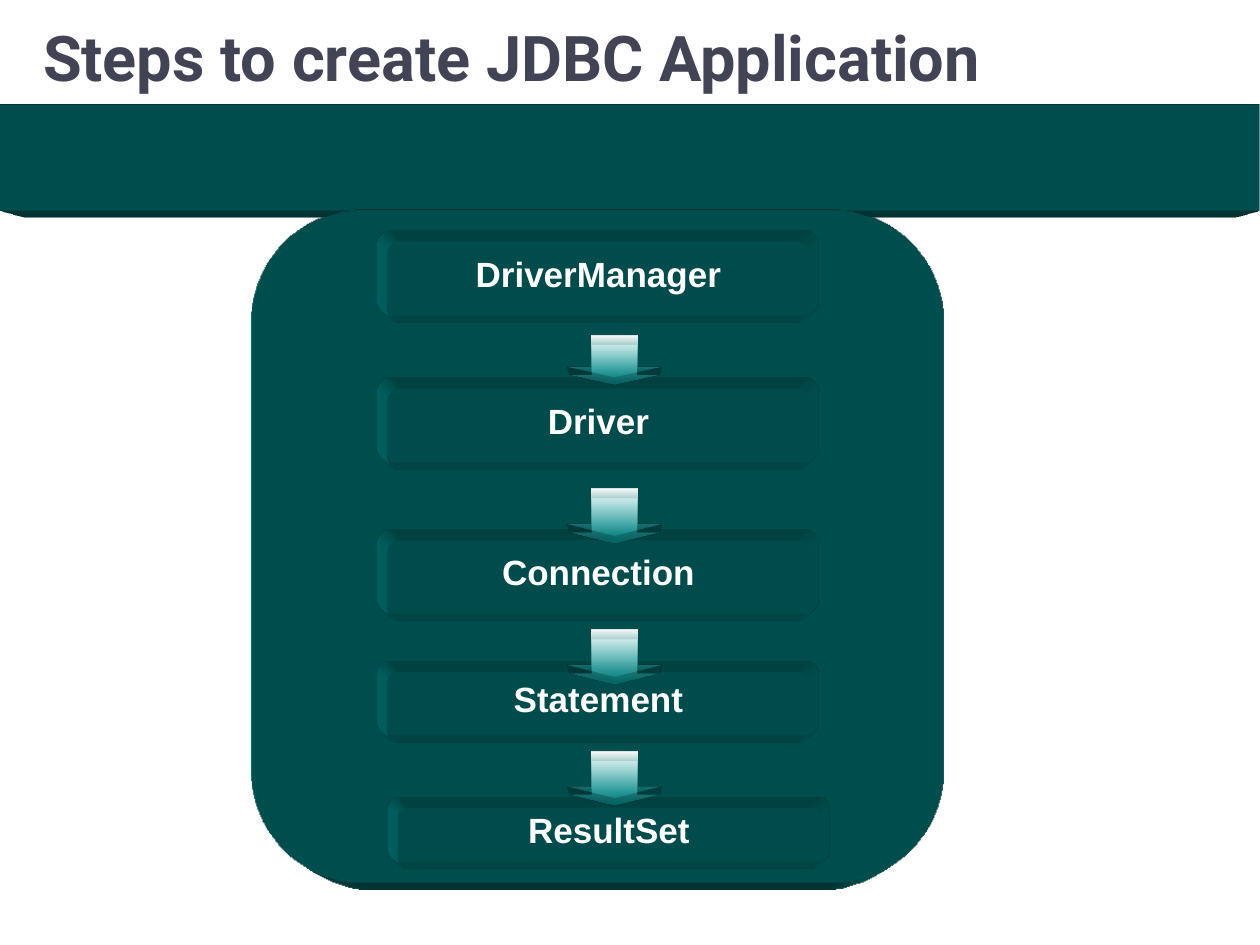
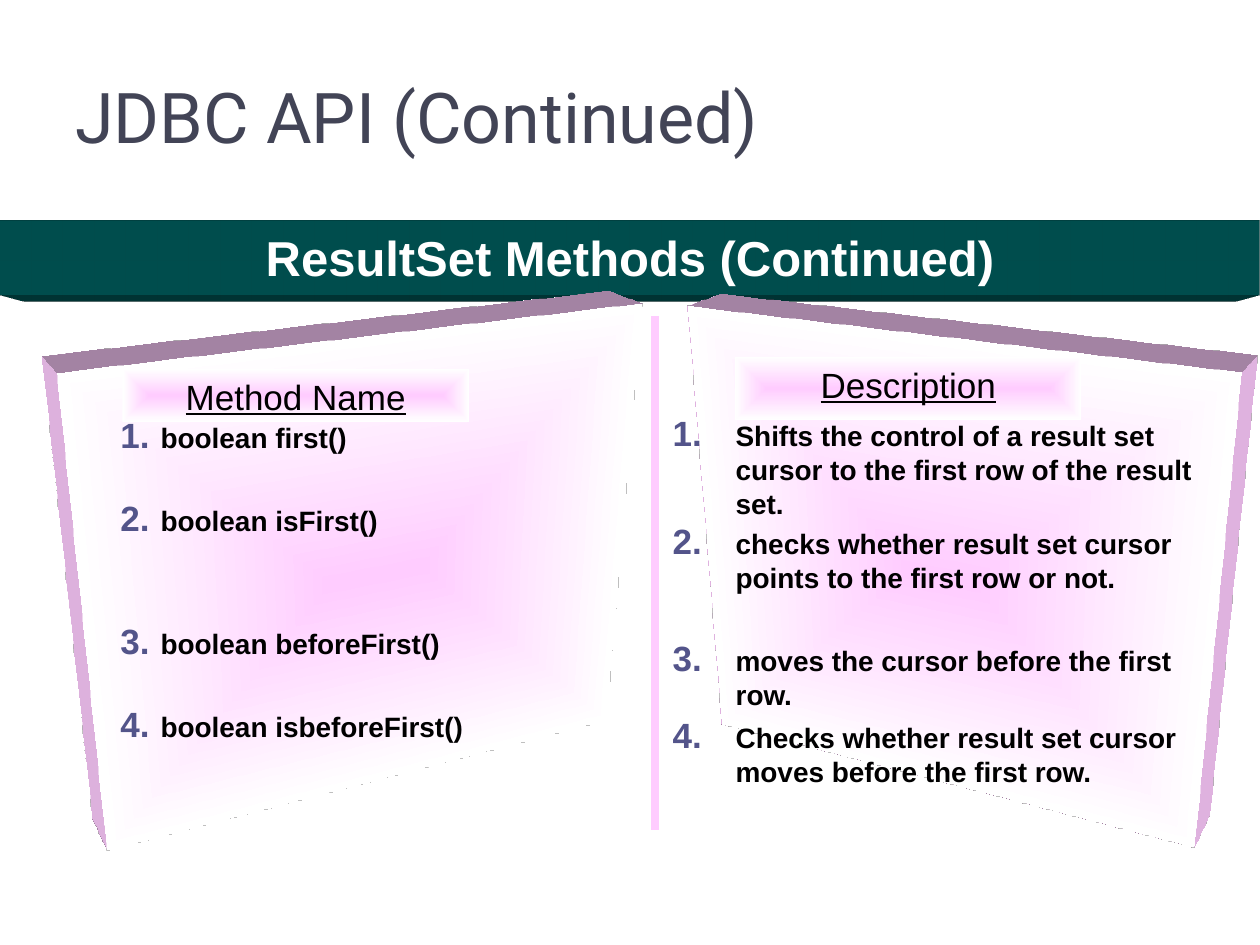
import pptx
import pptx.util
import pptx.dml.color
import pptx.enum.shapes
import pptx.enum.text
import pptx.oxml
import pptx.oxml.ns
from dataclasses import dataclass
from lxml import etree

Pt = pptx.util.Pt
qn = pptx.oxml.ns.qn
SHAPES = pptx.enum.shapes.MSO_SHAPE
ALIGN = pptx.enum.text.PP_ALIGN
ANCHOR = pptx.enum.text.MSO_ANCHOR


@dataclass(frozen=True)
class Theme:
    teal: str = "009999"
    pink: str = "FFCCFF"
    white: str = "FFFFFF"
    black: str = "000000"
    slate: str = "424456"
    number: str = "53548A"
    title_font: str = "Roboto"
    body_font: str = "Arial"
    band_size: int = 28
    label_size: int = 20
    item_size: int = 16
    alpha: int = 40
    depth: int = 430200


def rgb(value):
    return pptx.dml.color.RGBColor.from_string(value)


class Deck:
    """Holds the style and the slide being filled."""

    def __init__(self, theme):
        self.theme = theme
        self.show = pptx.Presentation()
        self.show.slide_width, self.show.slide_height = Pt(720), Pt(540)
        self.slide = None

    def new_slide(self):
        self.slide = self.show.slides.add_slide(self.show.slide_layouts[6])
        self.slide.background.fill.solid()
        self.slide.background.fill.fore_color.rgb = rgb(self.theme.white)

    # Text
    def add_words(self, paragraph, text, size, color, font=None, bold=False, underline=False):
        run = paragraph.add_run()
        run.text = text
        run.font.name = font or self.theme.body_font
        run.font.size = Pt(size)
        run.font.color.rgb = rgb(color)
        run.font.bold = bold
        run.font.underline = underline

    def title(self, text, box, size, bold=False):
        frame = self.slide.shapes.add_textbox(*map(Pt, box)).text_frame
        frame.word_wrap = True
        frame.vertical_anchor = ANCHOR.MIDDLE
        self.add_words(frame.paragraphs[0], text, size, self.theme.slate,
                       self.theme.title_font, bold)

    def label(self, shape, text, size, color, anchor=ANCHOR.MIDDLE, wrap=False, **style):
        frame = shape.text_frame
        frame.word_wrap = wrap
        frame.vertical_anchor = anchor
        frame.paragraphs[0].alignment = ALIGN.CENTER
        self.add_words(frame.paragraphs[0], text, size, color, **style)

    def numbered(self, shape, items, top_inset, margin, hanging):
        """Items are pairs of text and the space before it."""
        frame = shape.text_frame
        frame.word_wrap = True
        frame.vertical_anchor = ANCHOR.TOP
        frame.margin_top = Pt(top_inset)
        for index, (text, gap) in enumerate(items):
            paragraph = frame.add_paragraph() if index else frame.paragraphs[0]
            paragraph.alignment = ALIGN.LEFT
            paragraph.space_before = Pt(gap)
            props = paragraph._p.get_or_add_pPr()
            props.set("marL", str(Pt(margin)))
            props.set("indent", str(-Pt(hanging)))
            color = etree.SubElement(props, qn("a:buClr"))
            etree.SubElement(color, qn("a:srgbClr"), val=self.theme.number)
            etree.SubElement(props, qn("a:buSzPct"), val="125000")
            etree.SubElement(props, qn("a:buFont"), typeface=self.theme.body_font)
            etree.SubElement(props, qn("a:buAutoNum"), type="arabicPeriod")
            self.add_words(paragraph, text, self.theme.item_size, self.theme.black, bold=True)

    # Shapes and fills
    def shape(self, kind, box):
        shape = self.slide.shapes.add_shape(kind, *map(Pt, box))
        shape.shadow.inherit = False
        shape.line.fill.background()
        return shape

    def see_through(self, color):
        etree.SubElement(color, qn("a:alpha"), val=str(self.theme.alpha * 1000))

    def gradient(self, shape, start, end):
        shape.fill.gradient()
        for stop, color, place in zip(shape.fill.gradient_stops, (start, end), (0, 1)):
            stop.color.rgb = rgb(color)
            stop.position = place
        return shape._element.spPr.find(qn("a:gradFill"))

    def extrude(self, shape, color, camera, rig, turn=None):
        """Gives depth; turn is latitude and longitude in degrees."""
        props = shape._element.spPr
        scene = etree.SubElement(props, qn("a:scene3d"))
        view = etree.SubElement(scene, qn("a:camera"), prst=camera)
        if turn:
            lat, lon = (str(angle * 60000) for angle in turn)
            etree.SubElement(view, qn("a:rot"), lat=lat, lon=lon, rev="0")
        etree.SubElement(scene, qn("a:lightRig"), rig=rig, dir="b")
        solid = etree.SubElement(props, qn("a:sp3d"), extrusionH=str(self.theme.depth),
                                 prstMaterial="legacyMatte")
        for bevel in ("a:bevelT", "a:bevelB"):
            etree.SubElement(solid, qn(bevel), w="13500", h="13500", prst="angle")
        tint = etree.SubElement(solid, qn("a:extrusionClr"))
        etree.SubElement(tint, qn("a:srgbClr"), val=color)

    def raise_teal(self, shape):
        self.extrude(shape, self.theme.teal, "legacyPerspectiveBottom", "legacyNormal3")

    # Teal parts
    def teal_block(self, kind, box, clear=False):
        block = self.shape(kind, box)
        block.fill.solid()
        block.fill.fore_color.rgb = rgb(self.theme.teal)
        if clear:
            self.see_through(block._element.spPr.find(f".//{qn('a:srgbClr')}"))
        self.raise_teal(block)
        return block

    def band(self, top, height, text=None):
        band = self.teal_block(SHAPES.RECTANGLE, (0, top, 720, height))
        if text:
            self.label(band, text, self.theme.band_size, self.theme.white, bold=True)

    def step(self, text, left, top, height):
        step = self.teal_block(SHAPES.ROUNDED_RECTANGLE, (left, top, 252, height), clear=True)
        self.label(step, text, self.theme.label_size, self.theme.white, bold=True)

    def arrow(self, top, height):
        arrow = self.shape(SHAPES.DOWN_ARROW, (324, top, 54, height))
        arrow.adjustments[0], arrow.adjustments[1] = 0.5, 0.25
        grad = self.gradient(arrow, self.theme.white, self.theme.teal)
        arrow.fill.gradient_angle = 270
        self.see_through(grad.findall(f".//{qn('a:srgbClr')}")[-1])
        self.raise_teal(arrow)

    # Pink parts
    def glow(self, box):
        glow = self.shape(SHAPES.RECTANGLE, box)
        grad = self.gradient(glow, self.theme.pink, self.theme.white)
        grad.remove(grad.find(qn("a:lin")))
        spread = etree.SubElement(grad, qn("a:path"), {"path": "shape"})
        etree.SubElement(spread, qn("a:fillToRect"),
                         {side: "50000" for side in "ltrb"})
        return glow

    def panel(self, box, longitude, items, **layout):
        panel = self.glow(box)
        self.extrude(panel, self.theme.pink, "legacyPerspectiveFront", "legacyFlat3",
                     (25, longitude))
        self.numbered(panel, items, **layout)

    def heading(self, text, box):
        self.label(self.glow(box), text, self.theme.label_size, self.theme.black,
                   ANCHOR.TOP, True, underline=True)

    def divider(self, x, top, bottom):
        line = self.slide.shapes.add_connector(
            pptx.enum.shapes.MSO_CONNECTOR.STRAIGHT, Pt(x), Pt(top), Pt(x), Pt(bottom))
        line.line.color.rgb = rgb(self.theme.pink)
        line.line.width = Pt(4.5)
        etree.SubElement(line._element.spPr, qn("a:effectLst"))


deck = Deck(Theme())

# Slide 1: chain of JDBC objects
deck.new_slide()
deck.title("Steps to create JDBC Application", (17.5, 12, 649.5, 40), 36, bold=True)
deck.band(60, 60)
deck.teal_block(SHAPES.ROUNDED_RECTANGLE, (144, 120, 396, 384))
for step in (("DriverManager", 216, 132, 48),
             ("Driver", 216, 216, 48),
             ("Connection", 216, 302.4, 48),
             ("Statement", 216, 378, 42),
             ("ResultSet", 222, 456, 36)):
    deck.step(*step)
for top, height in ((191.5, 24), (279.4, 26.6), (360, 26.6), (429.4, 26.6)):
    deck.arrow(top, height)

# Slide 2: methods beside their descriptions
deck.new_slide()
deck.title("JDBC API (Continued)", (36, 24, 648, 84), 40)
deck.band(126, 42, "ResultSet Methods (Continued)")
deck.divider(374.4, 180.7, 474.5)

descriptions = (
    ("Shifts the control of a result set cursor to the first row of the result set.", 0),
    ("checks whether result set cursor points to the first row or not.", 4),
    ("moves the cursor before the first row.", 28.5),
    ("Checks whether result set cursor moves before the first row.", 5.5))
deck.panel((377.3, 189.4, 318.2, 279.4), 25, descriptions,
           top_inset=50, margin=36, hanging=36)
deck.heading("Description", (420, 204, 198, 36))

methods = (("boolean first()", 0), ("boolean isFirst()", 28),
           ("boolean beforeFirst()", 51.3), ("boolean isbeforeFirst()", 28))
deck.panel((48, 188.6, 336, 279.4), 335, methods,
           top_inset=52, margin=36.7, hanging=23)
deck.heading("Method Name", (70, 211, 198, 30))

deck.show.save("out.pptx")
